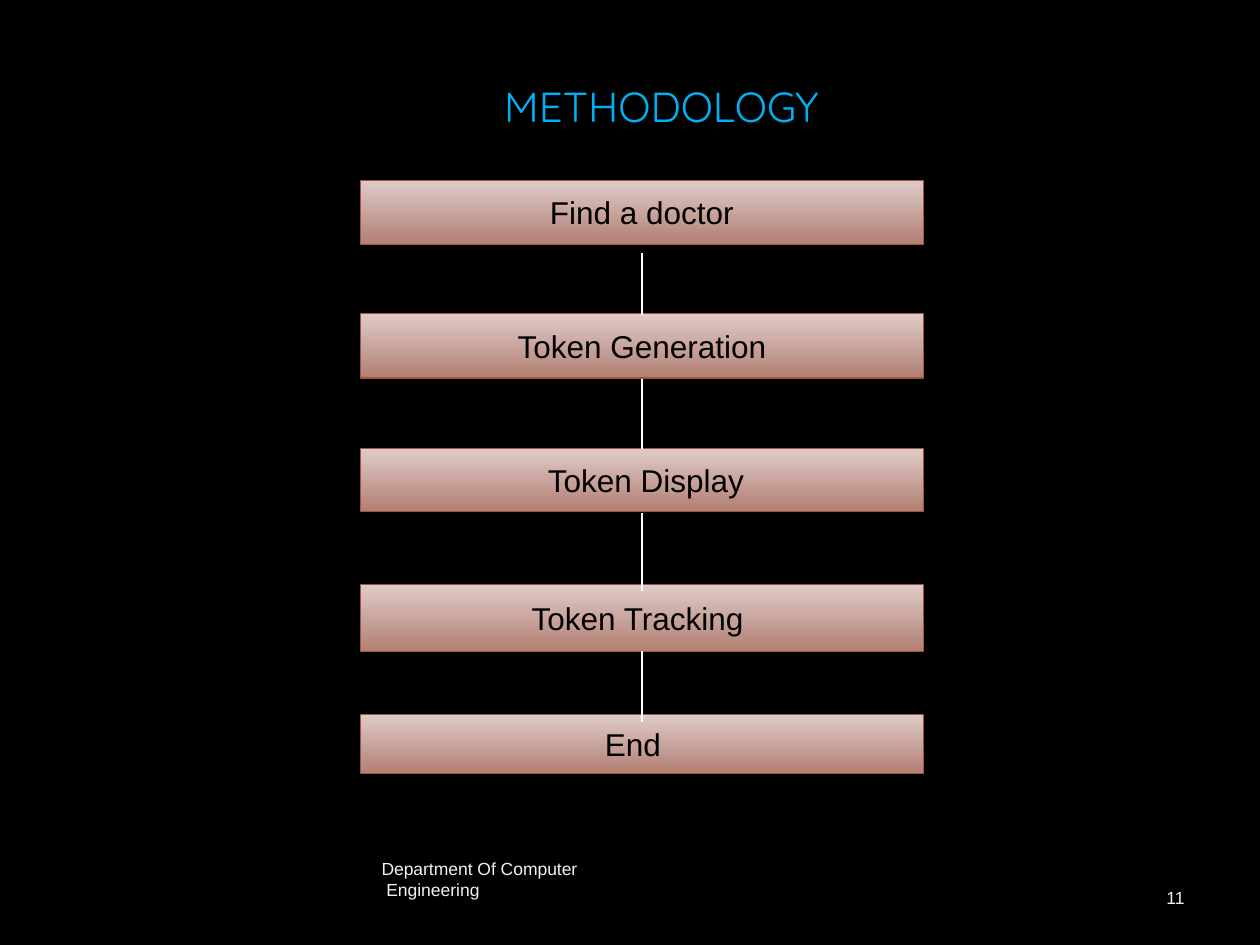
from lxml import etree
from pptx import Presentation
from pptx.dml.color import RGBColor
from pptx.enum.shapes import MSO_CONNECTOR, MSO_SHAPE
from pptx.enum.text import MSO_ANCHOR, PP_ALIGN
from pptx.oxml.ns import qn
from pptx.util import Inches, Pt

LEFT, CENTER, RIGHT = PP_ALIGN.LEFT, PP_ALIGN.CENTER, PP_ALIGN.RIGHT
TOP, MIDDLE = MSO_ANCHOR.TOP, MSO_ANCHOR.MIDDLE
RECTANGLE = MSO_SHAPE.RECTANGLE
STRAIGHT = MSO_CONNECTOR.STRAIGHT

COLORS = {
    "background": "000000",
    "title": "00B0F0",
    "footer": "F2F2F2",
    "step_text": "000000",
    "step_light": "DECBC8",
    "step_dark": "B37F73",
    "step_border": "9E5640",
    "link": "FFFFFF",
}

STEP_LEFT, STEP_WIDTH = 2.86, 4.47
STEPS = [
    ("Find a doctor", 1.43, 0.51, 0.1),
    ("Token Generation", 2.49, 0.51, 0.1),
    (" Token Display", 3.56, 0.5, 0.1),
    ("Token Tracking ", 4.64, 0.53, 0.1),
    ("End", 5.67, 0.47, 0.24),
]
LINKS = [(2.01, 2.5), (3.01, 3.56), (4.07, 4.69), (5.17, 5.73)]


def color(name):
    """Return the named colour."""
    return RGBColor.from_string(COLORS[name])


def write(frame, text, *, size, fill, font="Arial", align=LEFT, anchor=MIDDLE):
    """Put text into a frame, one paragraph for each line."""
    frame.word_wrap = True
    frame.vertical_anchor = anchor
    for index, line in enumerate(text.split("\n")):
        para = frame.add_paragraph() if index else frame.paragraphs[0]
        para.alignment = align
        span = para.add_run()
        span.text = line
        span.font.name = font
        span.font.size = Pt(size)
        span.font.color.rgb = color(fill)


class FlowPage:
    """Hold the flow chart style and the current slide."""

    def __init__(self, deck):
        """Add a blank page with a plain background."""
        self.page = deck.slides.add_slide(deck.slide_layouts[6])
        background = self.page.background.fill
        background.solid()
        background.fore_color.rgb = color("background")

    def label(self, text, left, top, width, height, **style):
        """Add a text box."""
        area = [Inches(length) for length in (left, top, width, height)]
        box = self.page.shapes.add_textbox(*area)
        write(box.text_frame, text, **style)

    def step(self, text, top, height, right_inset):
        """Add a gradient box for one step."""
        area = [Inches(length) for length in (STEP_LEFT, top, STEP_WIDTH, height)]
        box = self.page.shapes.add_shape(RECTANGLE, *area)
        box.shadow.inherit = False
        box.fill.gradient()
        box.fill.gradient_angle = 270
        for stop, name in zip(box.fill.gradient_stops, ("step_light", "step_dark")):
            stop.color.rgb = color(name)
        box.line.color.rgb = color("step_border")
        box.line.width = Pt(0.75)
        box.text_frame.margin_right = Inches(right_inset)
        write(box.text_frame, text, size=18, fill="step_text", align=CENTER)

    def link(self, start, end):
        """Add a vertical line on the axis of the steps."""
        axis = Inches(STEP_LEFT + STEP_WIDTH / 2)
        line = self.page.shapes.add_connector(
            STRAIGHT, axis, Inches(start), axis, Inches(end)
        )
        line.line.color.rgb = color("link")
        line.line.width = Pt(1.5)
        etree.SubElement(line._element.spPr, qn("a:effectLst"))


def main():
    """Build the methodology slide."""
    deck = Presentation()
    deck.slide_width, deck.slide_height = Inches(10), Inches(7.5)
    flow = FlowPage(deck)
    flow.label("Department Of Computer\n Engineering", 2.93, 6.67, 4.64, 0.61,
               size=10, fill="footer")
    flow.label("11", 7.2, 6.93, 2.3, 0.38, size=10, fill="footer", align=RIGHT)
    for step in STEPS:
        flow.step(*step)
    for link in LINKS:
        flow.link(*link)
    flow.label("METHODOLOGY", 1.58, 0.59, 7.34, 0.5, size=24, fill="title",
               font="Quicksand", align=CENTER, anchor=TOP)
    deck.save("out.pptx")


if __name__ == "__main__":
    main()
